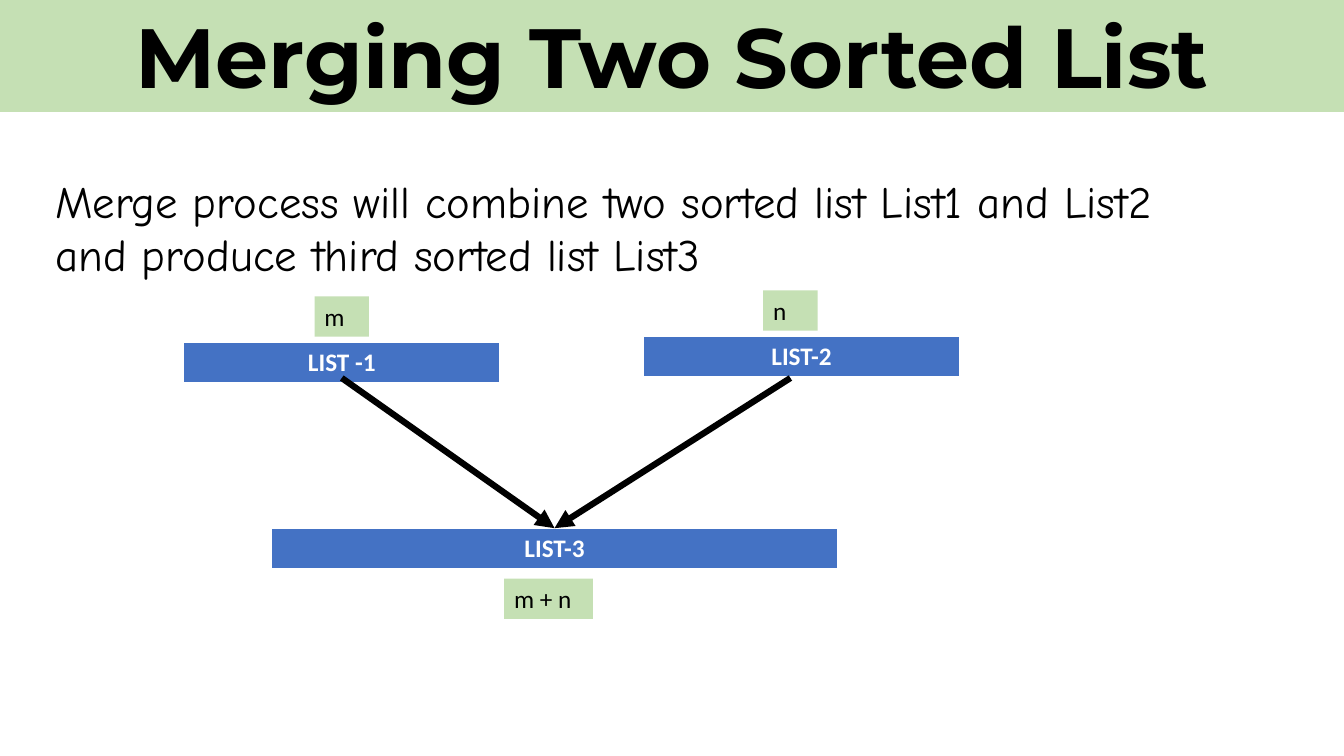
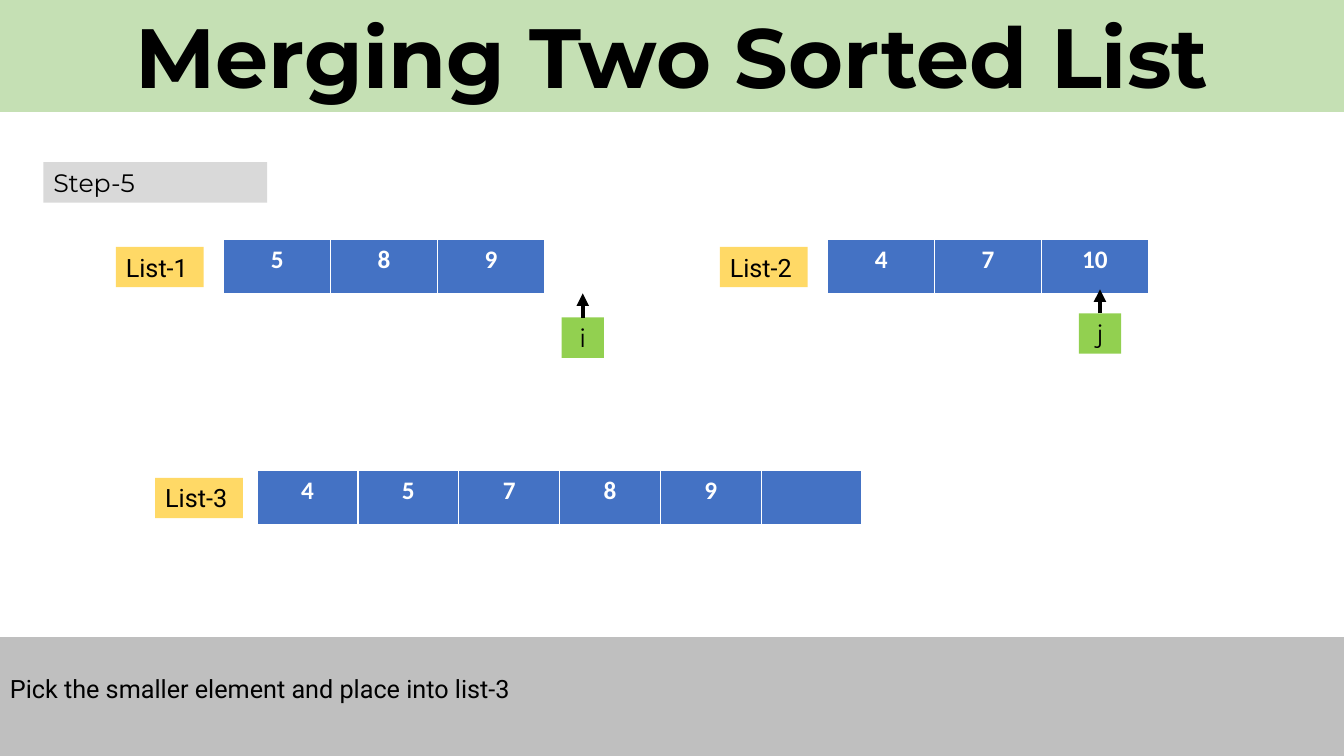
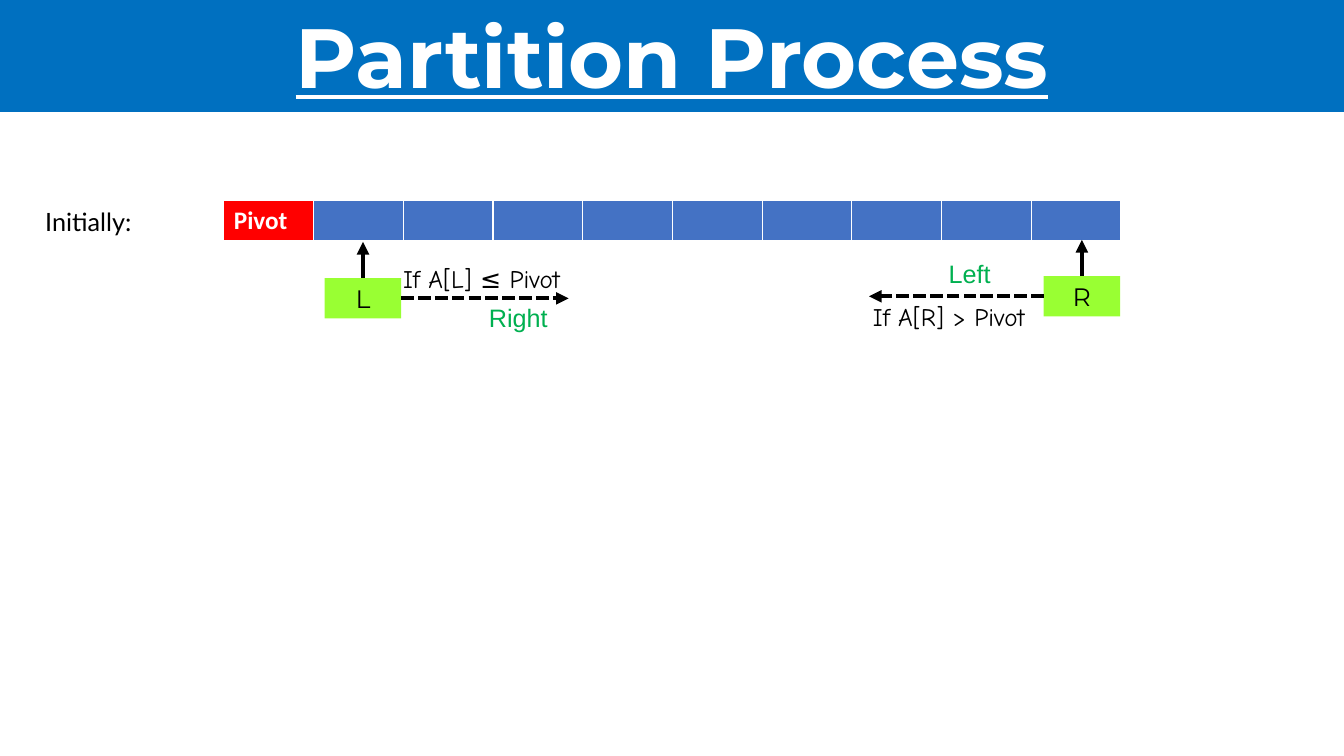
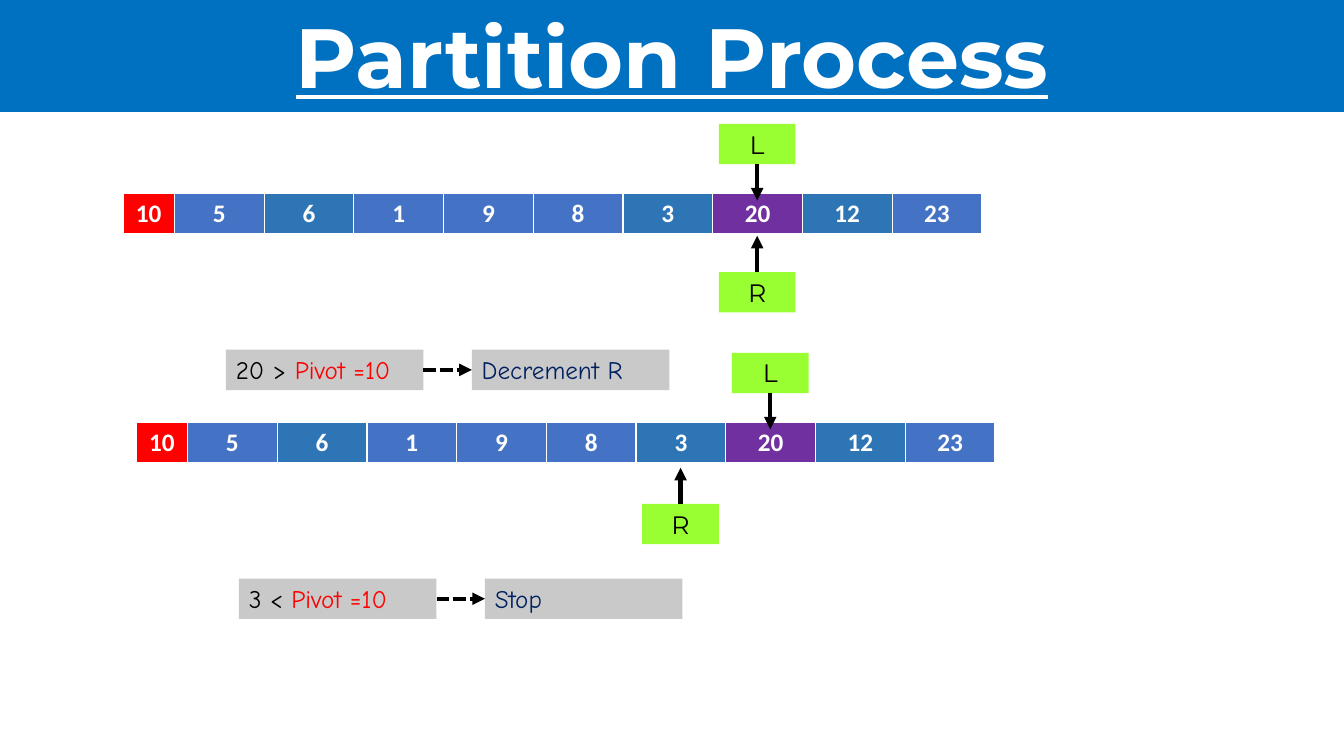
from dataclasses import dataclass, replace

from lxml.etree import SubElement
from pptx import Presentation
from pptx.dml.color import RGBColor
from pptx.enum.dml import MSO_LINE_DASH_STYLE as Dash
from pptx.enum.shapes import MSO_CONNECTOR as Connector
from pptx.enum.shapes import MSO_SHAPE as Shape
from pptx.enum.text import MSO_ANCHOR as Anchor
from pptx.enum.text import PP_ALIGN as Align
from pptx.oxml.ns import qn
from pptx.util import Emu, Pt

EMU_PER_PX = 9144
SLIDE_WIDTH, SLIDE_HEIGHT = 1333, 750
LABEL_HEIGHT = 40
TOP, LEFT, BOTTOM, RIGHT = range(4)


@dataclass(frozen=True)
class Theme:
    black: str = "000000"
    white: str = "FFFFFF"
    red: str = "FF0000"
    navy: str = "002060"
    green: str = "00B050"
    merge_band: str = "C5E0B4"
    partition_band: str = "0070C0"
    cell: str = "4472C4"
    cell_alternate: str = "2E75B6"
    cell_current: str = "7030A0"
    list_label: str = "FFD966"
    index_marker: str = "92D050"
    partition_marker: str = "99FF33"
    step_label: str = "D9D9D9"
    footer: str = "BFBFBF"
    note: str = "C9C9C9"
    title_size: int = 60
    lead_size: int = 32
    body_size: int = 18
    thin_border: int = 1
    thick_border: int = 3
    arrow: float = 3
    heavy_arrow: float = 4.5


THEME = Theme()


@dataclass(frozen=True)
class TextStyle:
    font: str
    color: str = THEME.black
    size: int = THEME.body_size
    bold: bool = False
    underline: bool = False
    align: Align = Align.LEFT


TITLE = TextStyle("Montserrat", size=THEME.title_size, bold=True, align=Align.CENTER)
CELL = TextStyle("Calibri", THEME.white, bold=True, align=Align.CENTER)
MARKER = TextStyle("Montserrat", align=Align.CENTER)
STEP = TextStyle("Montserrat")
COUNT = TextStyle("Calibri")
PLAIN = TextStyle("Roboto")
CAPTION = TextStyle("Lato")
HAND = TextStyle("Comic Neue")
DIRECTION = TextStyle("Arial", THEME.green)


def px(value):
    return Emu(value * EMU_PER_PX)


def rgb(color):
    return RGBColor.from_string(color)


def format_run(run, style):
    run.font.name = style.font
    run.font.size = Pt(style.size)
    run.font.bold = style.bold
    run.font.underline = style.underline
    run.font.color.rgb = rgb(style.color)


def write_text(frame, text, style):
    frame.text = text
    paragraph = frame.paragraphs[0]
    paragraph.alignment = style.align
    for run in paragraph.runs:
        format_run(run, style)


def add_label(slide, box, text, style, fill=None):
    lengths = [px(value) for value in box]
    if fill:
        shape = slide.shapes.add_shape(Shape.RECTANGLE, *lengths)
        shape.shadow.inherit = False
        shape.fill.solid()
        shape.fill.fore_color.rgb = rgb(fill)
        shape.line.fill.background()
    else:
        shape = slide.shapes.add_textbox(*lengths)
    frame = shape.text_frame
    frame.word_wrap = True
    frame.vertical_anchor = Anchor.TOP
    write_text(frame, text, style)
    return shape


def add_arrow(slide, start, end, weight=THEME.arrow, dashed=False):
    points = [px(value) for value in (*start, *end)]
    connector = slide.shapes.add_connector(Connector.STRAIGHT, *points)
    connector.line.color.rgb = rgb(THEME.black)
    connector.line.width = Pt(weight)
    if dashed:
        connector.line.dash_style = Dash.SQUARE_DOT
    SubElement(connector.line._get_or_add_ln(), qn("a:tailEnd"), type="triangle")
    SubElement(connector._element.spPr, qn("a:effectLst"))
    return connector


def add_border(cell, side, weight):
    line = SubElement(cell._tc.get_or_add_tcPr(), qn(f"a:ln{side}"), w=str(Pt(weight)))
    fill = SubElement(line, qn("a:solidFill"))
    SubElement(fill, qn("a:srgbClr"), val=THEME.white)


def add_row(slide, left, top, height, widths, texts, fills=None, style=CELL):
    lengths = [px(value) for value in (left, top, sum(widths), height)]
    table = slide.shapes.add_table(1, len(widths), *lengths).table
    table.horz_banding = False
    table.rows[0].height = px(height)
    fills = fills or [THEME.cell] * len(widths)
    for index, (width, text, fill) in enumerate(zip(widths, texts, fills)):
        table.columns[index].width = px(width)
        cell = table.cell(0, index)
        for side in "LRT":
            add_border(cell, side, THEME.thin_border)
        add_border(cell, "B", THEME.thick_border)
        cell.fill.solid()
        cell.fill.fore_color.rgb = rgb(fill)
        write_text(cell.text_frame, text, style)


def add_marker(slide, left, top, width, text, fill, reach, down=False):
    marker = add_label(slide, (left, top, width, LABEL_HEIGHT), text, MARKER, fill)
    middle = left + width // 2
    start = top + LABEL_HEIGHT if down else top
    end = start + reach if down else start - reach
    arrow = add_arrow(slide, (middle, start), (middle, end))
    arrow.begin_connect(marker, BOTTOM if down else TOP)
    return marker


def add_slide(presentation, title, band, style=TITLE):
    slide = presentation.slides.add_slide(presentation.slide_layouts[6])
    add_label(slide, (0, 0, SLIDE_WIDTH, 111), title, style, band)
    return slide


def add_merge_slide(presentation):
    return add_slide(presentation, "Merging Two Sorted List", THEME.merge_band)


def add_partition_slide(presentation):
    style = replace(TITLE, color=THEME.white, underline=True)
    return add_slide(presentation, "Partition Process", THEME.partition_band, style)


def build_merge_overview(presentation):
    slide = add_merge_slide(presentation)
    add_label(
        slide,
        (45, 167, 1186, 118),
        "Merge process will combine two sorted list List1 and List2 "
        "and produce third sorted list List3",
        replace(HAND, size=THEME.lead_size),
    )
    for left, top, width, name in (
        (182, 340, 314, "LIST -1"),
        (638, 334, 314, "LIST-2"),
        (269, 524, 562, "LIST-3"),
    ):
        add_row(slide, left, top, 41, [width], [name])
    for start in ((339, 375), (784, 375)):
        add_arrow(slide, start, (550, 524), THEME.heavy_arrow)
    for left, top, width, count in (
        (312, 294, 54, "m"),
        (757, 288, 54, "n"),
        (500, 574, 88, "m + n"),
    ):
        box = (left, top, width, LABEL_HEIGHT)
        add_label(slide, box, count, COUNT, THEME.merge_band)


def add_named_list(slide, left, top, name, gap, cell_width, values):
    box = (left, top + 7, 87, LABEL_HEIGHT)
    add_label(slide, box, name, PLAIN, THEME.list_label)
    widths = [cell_width] * len(values)
    add_row(slide, left + 87 + gap, top, 55, widths, values)


def build_merge_step(presentation):
    slide = add_merge_slide(presentation)
    add_label(slide, (43, 161, 222, LABEL_HEIGHT), "Step-5", STEP, THEME.step_label)
    add_named_list(slide, 115, 238, "List-1", 20, 106, ["5", "8", "9"])
    add_named_list(slide, 714, 238, "List-2", 20, 106, ["4", "7", "10"])
    add_named_list(slide, 154, 467, "List-3", 14, 100, ["4", "5", "7", "8", "9", ""])
    for left, top, name in ((557, 315, "i"), (1070, 311, "j")):
        add_marker(slide, left, top, 42, name, THEME.index_marker, 24)
    footer = add_label(
        slide,
        (0, 632, SLIDE_WIDTH, SLIDE_HEIGHT - 632),
        "Pick the smaller element and place into list-3",
        PLAIN,
        THEME.footer,
    )
    footer.text_frame.margin_top = px(36)


def build_partition_start(presentation):
    slide = add_partition_slide(presentation)
    add_row(
        slide, 222, 199, 41, [89] * 10, ["Pivot"] + [""] * 9,
        [THEME.red] + [THEME.cell] * 9, replace(CELL, align=Align.LEFT),
    )
    for left, top, name, side, end in (
        (322, 276, "L", RIGHT, 564),
        (1035, 274, "R", LEFT, 862),
    ):
        marker = add_marker(slide, left, top, 76, name, THEME.partition_marker, 36)
        middle = top + LABEL_HEIGHT // 2
        start = left + 76 if side == RIGHT else left
        arrow = add_arrow(slide, (start, middle), (end, middle), dashed=True)
        arrow.begin_connect(marker, side)
    for left, top, width, text, style in (
        (35, 200, 188, "Initially:", CAPTION),
        (475, 295, 178, "Right", DIRECTION),
        (931, 251, 145, "Left", DIRECTION),
        (390, 256, 240, "If A[L] ≤ Pivot", HAND),
        (856, 294, 240, "If A[R] > Pivot", HAND),
    ):
        add_label(slide, (left, top, width, LABEL_HEIGHT), text, style)


def add_decision(slide, left, top, comparison, action):
    width, gap = 196, 48
    condition = add_label(
        slide, (left, top, width, LABEL_HEIGHT), comparison, HAND, THEME.note
    )
    pivot = condition.text_frame.paragraphs[0].add_run()
    pivot.text = "Pivot =10"
    format_run(pivot, replace(HAND, color=THEME.red))
    result_left = left + width + gap
    result = add_label(
        slide, (result_left, top, width, LABEL_HEIGHT), action,
        replace(HAND, color=THEME.navy), THEME.note,
    )
    middle = top + LABEL_HEIGHT // 2
    arrow = add_arrow(slide, (left + width, middle), (result_left, middle), dashed=True)
    arrow.begin_connect(condition, RIGHT)
    arrow.end_connect(result, LEFT)


def add_partition_pass(slide, left, top, right_index, right_drop, comparison, action):
    pivot_width, cell_width = 51, 89
    values = ["10", "5", "6", "1", "9", "8", "3", "20", "12", "23"]
    fills = [THEME.red] + [THEME.cell] * 9
    for index in (2, 6, 8):
        fills[index] = THEME.cell_alternate
    fills[7] = THEME.cell_current
    add_row(slide, left, top, 41, [pivot_width] + [cell_width] * 9, values, fills)
    for name, index, offset, down in (
        ("L", 7, -69, True),
        ("R", right_index, right_drop, False),
    ):
        marker_left = left + pivot_width + cell_width * (index - 1) + 6
        add_marker(
            slide, marker_left, top + offset, 76, name,
            THEME.partition_marker, 36, down,
        )
    add_decision(slide, left + 102, top + 155, comparison, action)


def build_partition_passes(presentation):
    slide = add_partition_slide(presentation)
    add_partition_pass(slide, 122, 192, 7, 78, "20 > ", "Decrement R")
    add_partition_pass(slide, 135, 419, 6, 81, "3 < ", "Stop")


def main():
    presentation = Presentation()
    presentation.slide_width = px(SLIDE_WIDTH)
    presentation.slide_height = px(SLIDE_HEIGHT)
    build_merge_overview(presentation)
    build_merge_step(presentation)
    build_partition_start(presentation)
    build_partition_passes(presentation)
    presentation.save("out.pptx")


if __name__ == "__main__":
    main()
